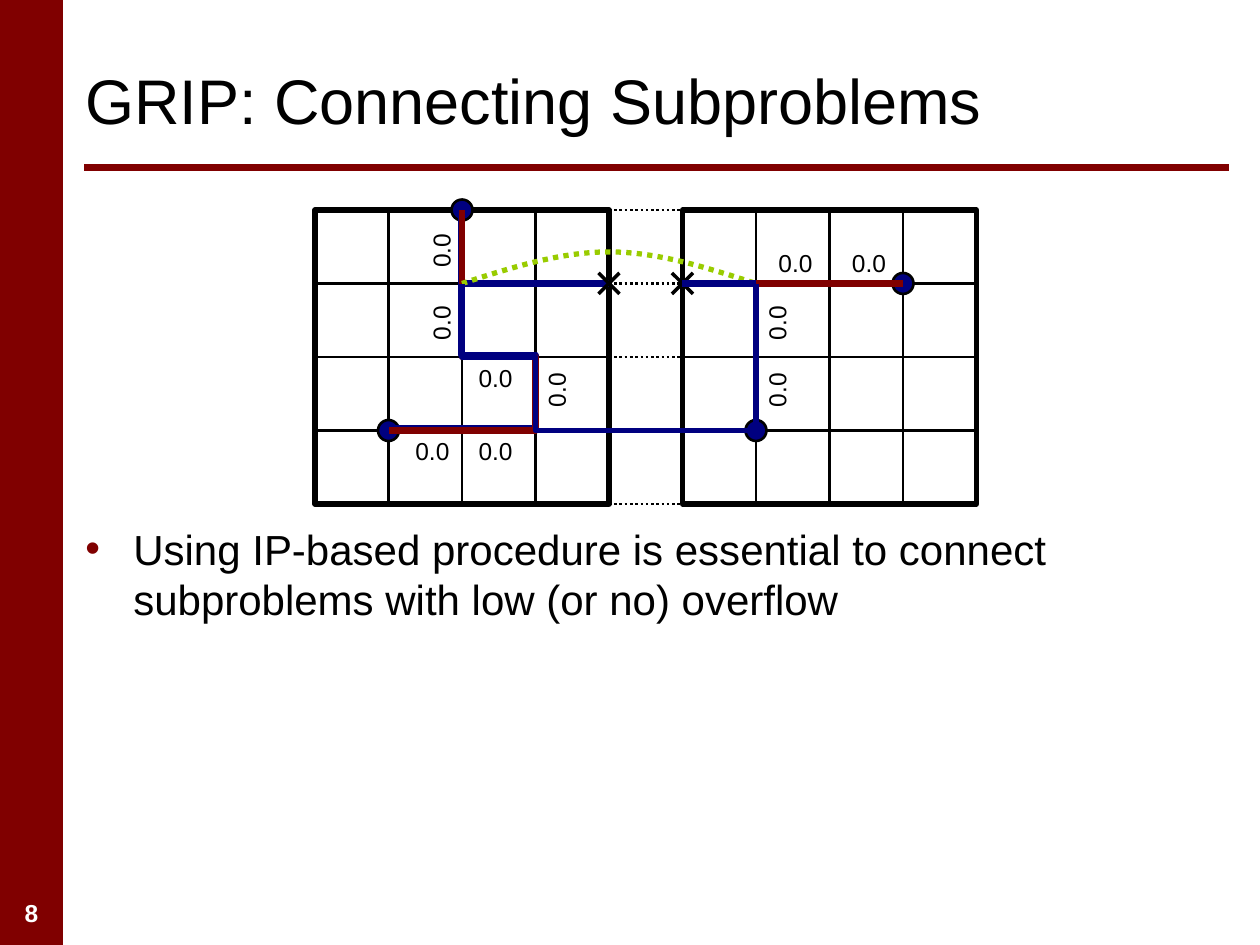
import lxml.etree
import pptx
import pptx.dml.color
import pptx.enum.dml
import pptx.enum.shapes
import pptx.enum.text
import pptx.oxml.ns
import pptx.util

WIDTH, HEIGHT = 10, 7.5
CELL = 7 / 12
GRID_LEFT, GRID_TOP = 2.5, 5 / 3
GRID_SIZE = 4
RIGHT_GRID = 5
BLACK, WHITE, MAROON, NAVY, LIME = "000000", "FFFFFF", "800000", "000080", "99CC00"
ROUTE_WIDTH = 3.5


def inches(value):
    return pptx.util.Inches(value)


def color(hex_string):
    return pptx.dml.color.RGBColor.from_string(hex_string)


def grid_point(column, row):
    return inches(GRID_LEFT + column * CELL), inches(GRID_TOP + row * CELL)


def add_element(parent, tag, **attributes):
    element = lxml.etree.SubElement(parent, pptx.oxml.ns.qn(tag))
    for name, value in attributes.items():
        element.set(name, value)
    return element


def style_line(line, line_color, width, dotted=False):
    line.color.rgb = color(line_color)
    line.width = pptx.util.Pt(width)
    if dotted:
        line.dash_style = pptx.enum.dml.MSO_LINE.ROUND_DOT


def add_line(slide, start, end, line_color=BLACK, width=1.5, dotted=False):
    connector = slide.shapes.add_connector(
        pptx.enum.shapes.MSO_CONNECTOR.STRAIGHT, *start, *end)
    style_line(connector.line, line_color, width, dotted)
    add_element(connector._element.spPr, "a:effectLst")


def add_grid_line(slide, start, end, **line_format):
    add_line(slide, grid_point(*start), grid_point(*end), **line_format)


def add_shape(slide, kind, left, top, width, height, fill=None, outline=None, outline_width=1.5):
    shape = slide.shapes.add_shape(kind, left, top, width, height)
    shape.shadow.inherit = False
    if fill:
        shape.fill.solid()
        shape.fill.fore_color.rgb = color(fill)
    else:
        shape.fill.background()
    if outline:
        style_line(shape.line, outline, outline_width)
    else:
        shape.line.fill.background()


def add_path(slide, points, line_color, width=ROUTE_WIDTH, dotted=False):
    vertices = [grid_point(*point) for point in points]
    builder = slide.shapes.build_freeform(*vertices[0])
    builder.add_line_segments(vertices[1:], close=False)
    shape = builder.convert_to_shape()
    shape.shadow.inherit = False
    shape.fill.background()
    style_line(shape.line, line_color, width, dotted)


def add_text(slide, text, left, top, width, height, size=14, font_color=BLACK, bold=False,
             align="LEFT", anchor="TOP", wrap=True, rotation=0, bullet_color=None, spacing=None):
    box = slide.shapes.add_textbox(inches(left), inches(top), inches(width), inches(height))
    box.rotation = rotation
    frame = box.text_frame
    frame.word_wrap = wrap
    frame.vertical_anchor = getattr(pptx.enum.text.MSO_ANCHOR, anchor)
    paragraph = frame.paragraphs[0]
    paragraph.alignment = getattr(pptx.enum.text.PP_ALIGN, align)
    if spacing:
        paragraph.line_spacing = pptx.util.Pt(spacing)
    if bullet_color:
        properties = paragraph._p.get_or_add_pPr()
        indent = inches(0.38)
        properties.set("marL", str(indent))
        properties.set("indent", str(-indent))
        add_element(add_element(properties, "a:buClr"), "a:srgbClr", val=bullet_color)
        add_element(properties, "a:buFont", typeface="Arial")
        add_element(properties, "a:buChar", char="•")
    run = paragraph.add_run()
    run.text = text
    run.font.name = "Arial"
    run.font.size = pptx.util.Pt(size)
    run.font.bold = bold
    run.font.color.rgb = color(font_color)


def add_frame(slide):
    add_shape(slide, pptx.enum.shapes.MSO_SHAPE.RECTANGLE,
              0, 0, inches(WIDTH / 20), inches(HEIGHT), fill=MAROON)
    add_line(slide, (inches(0.67), inches(1.33)), (inches(9.75), inches(1.33)), MAROON, 4)
    add_text(slide, "8", 0, 7.08, WIDTH / 20, 0.33, font_color=WHITE, bold=True, align="CENTER")
    add_text(slide, "GRIP: Connecting Subproblems", 0.58, 0.25, 9.17, 1.08,
             size=36, anchor="MIDDLE")
    add_text(slide, "Using IP-based procedure is essential to connect subproblems "
             "with low (or no) overflow", 0.58, 4.1, 9.17, 1,
             size=24, bullet_color=MAROON, spacing=29)


def add_grid(slide, first_column):
    for step in range(1, GRID_SIZE):
        add_grid_line(slide, (first_column + step, 0), (first_column + step, GRID_SIZE))
        add_grid_line(slide, (first_column, step), (first_column + GRID_SIZE, step))
    side = inches(GRID_SIZE * CELL)
    add_shape(slide, pptx.enum.shapes.MSO_SHAPE.RECTANGLE, *grid_point(first_column, 0),
              side, side, outline=BLACK, outline_width=3)


def add_pin(slide, column, row):
    radius = 1 / 7
    diameter = inches(2 * radius * CELL)
    add_shape(slide, pptx.enum.shapes.MSO_SHAPE.OVAL, *grid_point(column - radius, row - radius),
              diameter, diameter, fill=NAVY, outline=BLACK)


def add_cross(slide, column, row):
    arm = 1 / 7
    for rise in (-arm, arm):
        add_grid_line(slide, (column - arm, row - rise), (column + arm, row + rise), width=2)


def add_arc(slide, start, end, row, rise):
    steps = 32
    points = []
    for step in range(steps + 1):
        share = step / steps
        offset = abs(2 * share - 1)
        drop = offset ** 2 * (3 - offset) / 2
        points.append((start + (end - start) * share, row - rise * (1 - drop)))
    add_path(slide, points, LIME, width=3, dotted=True)


def add_cost(slide, column, row, rotation=0):
    width, height = 0.47, 0.33
    add_text(slide, "0.0", GRID_LEFT + column * CELL - width / 2,
             GRID_TOP + row * CELL - height / 2, width, height, wrap=False, rotation=rotation)


def add_routes(slide):
    right_route = [(8, 1), (6, 1), (6, 3)]
    add_path(slide, [(1, 2.97), (3, 2.97), (3, 1.97), (1.99, 1.97), (1.99, -0.03)], NAVY)
    add_path(slide, right_route, NAVY)
    add_grid_line(slide, (2, 1), (4, 1), line_color=NAVY, width=ROUTE_WIDTH)
    for column in (GRID_SIZE, RIGHT_GRID):
        add_cross(slide, column, 1)
    add_path(slide, [(2, 0), (2, 2), (3, 2), (3, 3), (1, 3)], MAROON)
    add_path(slide, right_route, MAROON)
    add_arc(slide, 2, 6, 1, 0.43)
    add_path(slide, [(2, 1), (2, 2), (3, 2), (3, 3), (6, 3), (6, 1)], NAVY, width=3)


def main():
    presentation = pptx.Presentation()
    presentation.slide_width, presentation.slide_height = inches(WIDTH), inches(HEIGHT)
    slide = presentation.slides.add_slide(presentation.slide_layouts[6])
    add_frame(slide)
    for first_column in (RIGHT_GRID, 0):
        add_grid(slide, first_column)
    for row in range(GRID_SIZE + 1):
        add_grid_line(slide, (GRID_SIZE, row), (RIGHT_GRID, row), dotted=True)
    for column, row in [(1, 3), (8, 1), (2, 0), (6, 3)]:
        add_pin(slide, column, row)
    add_routes(slide)
    for column, row in [(3.28, 2.45), (1.71, 1.54), (1.71, 0.55), (6.28, 2.45), (6.28, 1.54)]:
        add_cost(slide, column, row, rotation=270)
    for column, row in [(2.46, 2.28), (2.46, 3.28), (1.6, 3.28), (6.54, 0.72), (7.54, 0.72)]:
        add_cost(slide, column, row)
    add_grid_line(slide, (RIGHT_GRID, 1), (6, 1), line_color=NAVY, width=ROUTE_WIDTH)
    presentation.save("out.pptx")


if __name__ == "__main__":
    main()
